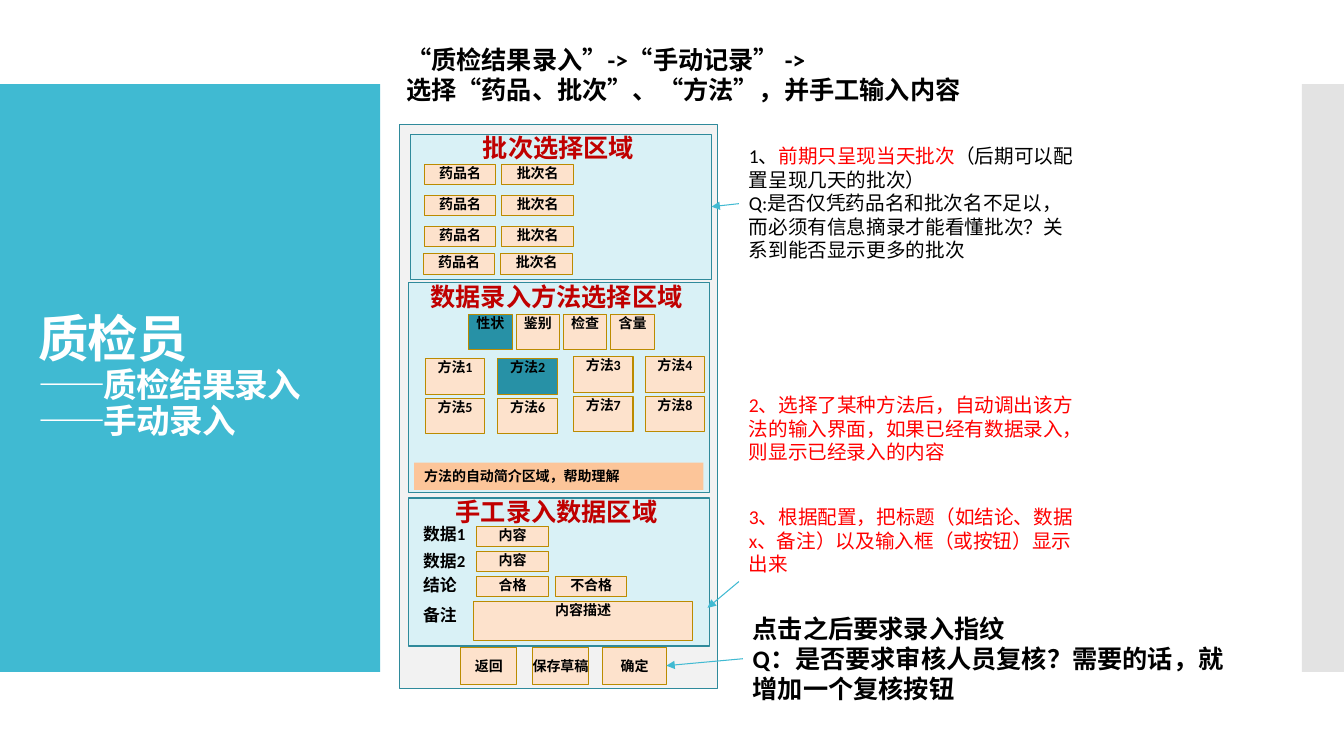
from dataclasses import dataclass
from lxml.etree import SubElement
from pptx import Presentation
from pptx.dml.color import RGBColor
from pptx.enum.shapes import MSO_CONNECTOR, MSO_SHAPE
from pptx.enum.text import MSO_ANCHOR, MSO_AUTO_SIZE, PP_ALIGN
from pptx.oxml.ns import qn
from pptx.shapes.autoshape import Shape
from pptx.shapes.connector import Connector
from pptx.slide import Slide
from pptx.util import Pt


@dataclass(frozen=True)
class Theme:
    font: str = "Calibri"
    accent: str = "40BAD2"
    edge: str = "C8C8C8"
    frame: str = "F2F2F2"
    panel: str = "D9F1F6"
    panel_line: str = "2F8A9B"
    chip: str = "FDE2CC"
    chip_line: str = "BB8B00"
    selected: str = "2791A6"
    intro: str = "FCC599"
    white: str = "FFFFFF"
    black: str = "000000"
    red: str = "FF0000"
    heading: str = "C00000"
    title_size: float = 36
    subtitle_size: float = 24
    large: float = 18
    note: float = 14
    label: float = 12
    small: float = 10


T = Theme()


@dataclass(frozen=True)
class Box:
    x: float
    y: float
    w: float
    h: float


@dataclass(frozen=True)
class Span:
    text: str
    color: str


@dataclass(frozen=True)
class Chip:
    text: str
    box: Box
    fill: str = T.chip
    anchor: MSO_ANCHOR = MSO_ANCHOR.TOP


@dataclass(frozen=True)
class Note:
    box: Box
    paragraphs: list[list[Span]]
    size: float = T.note
    bold: bool = False


@dataclass(frozen=True)
class Panel:
    heading: str
    box: Box


def rgb(color: str) -> RGBColor:
    return RGBColor.from_string(color)


def add_rect(s: Slide, box: Box, fill: str, line: str = "", width: float = 0.85) -> Shape:
    sp = s.shapes.add_shape(MSO_SHAPE.RECTANGLE, Pt(box.x), Pt(box.y), Pt(box.w), Pt(box.h))
    sp.shadow.inherit = False
    sp.fill.solid()
    sp.fill.fore_color.rgb = rgb(fill)
    if line:
        sp.line.color.rgb = rgb(line)
        sp.line.width = Pt(width)
    else:
        sp.line.fill.background()
    return sp


def write(sp: Shape, paragraphs: list[list[Span]], size: float, bold: bool = True,
          align: PP_ALIGN = PP_ALIGN.LEFT, grow: bool = True) -> None:
    tf = sp.text_frame
    tf.word_wrap = True
    tf.vertical_anchor = MSO_ANCHOR.TOP
    if grow:
        tf.auto_size = MSO_AUTO_SIZE.SHAPE_TO_FIT_TEXT
    for i, spans in enumerate(paragraphs):
        p = tf.add_paragraph() if i else tf.paragraphs[0]
        p.alignment = align
        p.font.name, p.font.size, p.font.bold = T.font, Pt(size), bold
        same_color = len({span.color for span in spans}) == 1
        if same_color:
            p.font.color.rgb = rgb(spans[0].color)
        for span in spans:
            r = p.add_run()
            r.text = span.text
            if not same_color or not sp._element.tag.endswith("}sp") or sp.shape_type == 1:
                r.font.color.rgb = rgb(span.color)


def add_text(s: Slide, note: Note, align: PP_ALIGN = PP_ALIGN.LEFT) -> Shape:
    b = note.box
    sp = s.shapes.add_textbox(Pt(b.x), Pt(b.y), Pt(b.w), Pt(b.h))
    write(sp, note.paragraphs, note.size, note.bold, align)
    return sp


def add_chip(s: Slide, chip: Chip) -> Shape:
    sp = add_rect(s, chip.box, chip.fill, T.chip_line, 0.75)
    write(sp, [[Span(chip.text, T.black)]], T.small, align=PP_ALIGN.CENTER, grow=False)
    tf = sp.text_frame
    tf.vertical_anchor = chip.anchor
    tf.margin_left = tf.margin_right = tf.margin_top = tf.margin_bottom = 0
    return sp


def add_panel(s: Slide, panel: Panel) -> Shape:
    sp = add_rect(s, panel.box, T.panel, T.panel_line)
    box = Box(panel.box.x + 5.8, panel.box.y - 4.5, 200.2, 28.8)
    add_text(s, Note(box, [[Span(panel.heading, T.heading)]], T.large, True), PP_ALIGN.CENTER)
    return sp


def add_arrow(s: Slide, x1: float, y1: float, x2: float, y2: float) -> Connector:
    c = s.shapes.add_connector(MSO_CONNECTOR.STRAIGHT, Pt(x1), Pt(y1), Pt(x2), Pt(y2))
    c.line.color.rgb = rgb(T.accent)
    c.line.width = Pt(0.75)
    SubElement(c.line._get_or_add_ln(), qn("a:tailEnd"), type="triangle")
    SubElement(c._element.spPr, qn("a:effectLst"))
    return c


def join(s: Slide, source: Shape, target: Shape) -> None:
    c = add_arrow(s, 0, 0, 0, 0)
    c.begin_connect(source, 1)
    c.end_connect(target, 3)


def add_title(s: Slide) -> None:
    sp = s.shapes.add_textbox(Pt(20.2), Pt(88.6), Pt(231.8), Pt(362.2))
    tf = sp.text_frame
    tf.word_wrap = True
    tf.vertical_anchor = MSO_ANCHOR.MIDDLE
    p = tf.paragraphs[0]
    p.line_spacing = 0.9
    p.font.name, p.font.bold, p.font.color.rgb = T.font, True, rgb(T.white)
    lines = [("质检员", T.title_size), ("——质检结果录入", T.subtitle_size),
             ("——手动录入", T.subtitle_size)]
    for i, (text, size) in enumerate(lines):
        if i:
            p.add_line_break()
        r = p.add_run()
        r.text = text
        r.font.size = Pt(size)
        r._r.get_or_add_rPr().set("spc", "-60")


PANELS = [Panel("批次选择区域", Box(293, 95.8, 215.3, 103.7)),
          Panel("数据录入方法选择区域", Box(291.6, 201.6, 215.3, 150.5)),
          Panel("手工录入数据区域", Box(291.6, 355.7, 215.3, 105.8))]
BATCH_ROWS = [(303.1, 117.4), (303.1, 139.7), (303.1, 161.6), (302.4, 181.4)]
METHOD_COLUMNS = [(303.8, 256.3), (355.7, 256.3), (409.7, 254.9), (460.8, 254.9)]
CHIPS = [Chip(text, Box(x + 55.4 * i, y, 51.1, 14.4))
         for x, y in BATCH_ROWS for i, text in enumerate(("药品名", "批次名"))]
CHIPS += [Chip(text, Box(334.8 + 33.84 * i, 224.6, 31, 25.2), T.chip if i else T.selected)
          for i, text in enumerate(("性状", "鉴别", "检查", "含量"))]
CHIPS += [Chip(f"方法{4 * row + col + 1}", Box(x, y + 28.1 * row, 42.5, 25.2),
               T.selected if (row, col) == (0, 1) else T.chip)
          for row in range(2) for col, (x, y) in enumerate(METHOD_COLUMNS)]
CHIPS += [Chip(text, Box(340.6, 375.8 + 18 * i, 51.1, 14.4))
          for i, text in enumerate(("内容", "内容", "合格"))]
CHIPS += [Chip("不合格", Box(396.7, 411.8, 51.1, 14.4)),
          Chip("内容描述", Box(338.4, 429.8, 156.2, 27.4))]
BUTTONS = [Chip(text, Box(x, 462.2, w, 26.6), anchor=MSO_ANCHOR.MIDDLE)
           for text, x, w in (("返回", 329, 40.3), ("保存草稿", 380.2, 40.3), ("确定", 430.6, 45.4))]
LABELS = [("数据1", 370.8), ("数据2", 390.2), ("结论", 406.8), ("备注", 428.4)]
STEPS = Note(Box(283, 28.1, 457.9, 51.1),
             [[Span("“质检结果录入”->“手动记录” ->", T.black)],
              [Span("选择“药品、批次”、“方法”，并手工输入内容", T.black)]], T.large, True)
BATCH_NOTE = Note(Box(527.8, 99.4, 249.8, 92.2), [
    [Span("1、", T.black), Span("前期只呈现当天批次", T.red),
     Span("（后期可以配置呈现几天的批次）", T.black)],
    [Span("Q:是否仅凭药品名和批次名不足以，而必须有信息摘录才能看懂批次？关系到能否显示更多的批次", T.black)]])
METHOD_NOTE = Note(Box(527.8, 277.2, 257, 58.3), [
    [Span("2、选择了某种方法后，自动调出该方法的输入界面，如果已经有数据录入，则显示已经录入的内容", T.red)]])
FORM_NOTE = Note(Box(527.8, 357.1, 257, 41), [
    [Span("3、根据配置，把标题（如结论、数据x、备注）以及输入框（或按钮）显示出来", T.red)]])
CONFIRM_NOTE = Note(Box(530.6, 434.2, 357.1, 72.7), [
    [Span("点击之后要求录入指纹", T.black)],
    [Span("Q：是否要求审核人员复核？需要的话，就增加一个复核按钮", T.black)]], T.large, True)


def main() -> None:
    prs = Presentation()
    prs.slide_width, prs.slide_height = Pt(960), Pt(540)
    s = prs.slides.add_slide(prs.slide_layouts[6])
    add_rect(s, Box(0, 60, 271.5, 420), T.accent)
    edge = add_rect(s, Box(930, 60, 30, 420), T.edge)
    color = edge._element.spPr.find(qn("a:solidFill")).find(qn("a:srgbClr"))
    SubElement(color, qn("a:alpha"), val="50000")
    add_rect(s, Box(285.5, 88.9, 226.8, 403.2), T.frame, T.panel_line)
    add_title(s)
    add_text(s, STEPS)
    batch_panel = [add_panel(s, panel) for panel in PANELS][0]
    for chip in CHIPS:
        add_chip(s, chip)
    confirm = [add_chip(s, button) for button in BUTTONS][-1]
    for text, y in LABELS:
        add_text(s, Note(Box(295.2, y, 51.8, 21.6), [[Span(text, T.black)]], T.label, True))
    intro = add_rect(s, Box(295.9, 330.5, 206.6, 19.4), T.intro)
    write(intro, [[Span("方法的自动简介区域，帮助理解", T.black)]], T.small)
    batch_note = add_text(s, BATCH_NOTE)
    add_text(s, METHOD_NOTE)
    add_text(s, FORM_NOTE)
    confirm_note = add_text(s, CONFIRM_NOTE)
    join(s, batch_note, batch_panel)
    join(s, confirm_note, confirm)
    add_arrow(s, 527.8, 415.4, 505.4, 434.2)
    prs.save("out.pptx")


if __name__ == "__main__":
    main()
